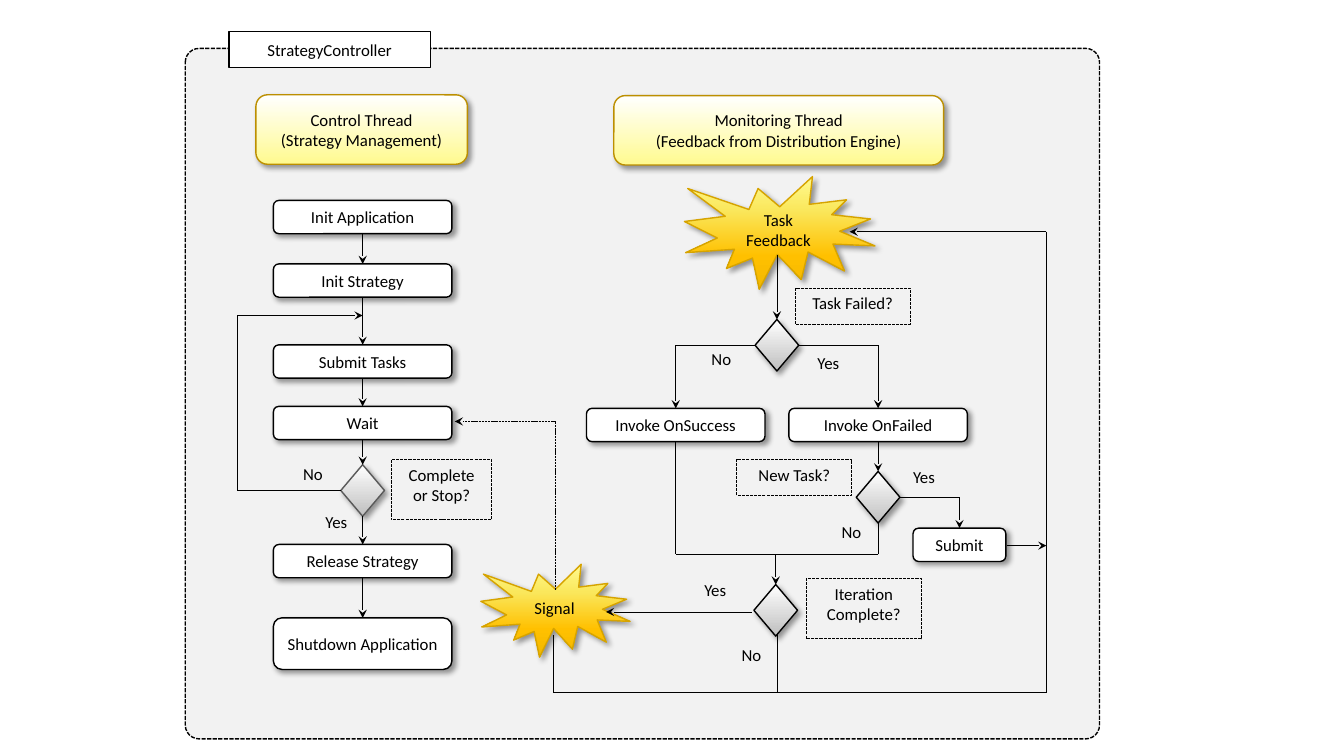
from itertools import pairwise

from lxml.etree import SubElement
from pptx import Presentation
from pptx.dml.color import RGBColor
from pptx.enum.dml import MSO_LINE
from pptx.enum.shapes import MSO_CONNECTOR, MSO_SHAPE
from pptx.enum.text import MSO_ANCHOR, PP_ALIGN
from pptx.oxml.ns import qn
from pptx.util import Cm, Pt

# Lengths in centimetres
CONTROL_X, SUCCESS_X, FAILED_X, SUBMIT_X = 9.14, 17.03, 22.13, 24.18
FEEDBACK_X, ITERATION_X, RETURN_X = 19.58, 19.55, 26.37
STEP_W, STEP_H = 4.5, 0.84
DIAMOND_W, DIAMOND_H = 1.1, 1.3
ANSWER_H = 0.91
MERGE_Y, RETURN_Y = 13.97, 17.45

TITLE = "StrategyController"
TITLE_BOX = (5.77, 0.79, 5.08, 0.91)
FRAME_BOX = (4.67, 1.22, 23.04, 17.4)

THREADS = [
    ("Control Thread\n(Strategy Management)", (6.45, 2.39, 5.33, 1.75)),
    ("Monitoring Thread\n(Feedback from Distribution Engine)", (15.47, 2.41, 8.31, 1.75)),
]
# text, centre x, top, width, height
CONTROL_STEPS = [
    ("Init Application", CONTROL_X, 5.05, STEP_W, STEP_H),
    ("Init Strategy", CONTROL_X, 6.65, STEP_W, STEP_H),
    ("Submit Tasks", CONTROL_X, 8.69, STEP_W, STEP_H),
    ("Wait", CONTROL_X, 10.24, STEP_W, STEP_H),
    ("Release Strategy", CONTROL_X, 13.72, STEP_W, STEP_H),
    ("Shutdown Application", CONTROL_X, 15.57, STEP_W, 1.3),
]
MONITORING_STEPS = [
    ("Invoke OnSuccess", SUCCESS_X, 10.29, STEP_W, STEP_H),
    ("Invoke OnFailed", FAILED_X, 10.29, STEP_W, STEP_H),
    ("Submit", SUBMIT_X, 13.31, 2.34, STEP_H),
]
EVENTS = [
    ("Task Feedback", (17.25, 4.45, 4.8, 2.84)),
    ("Signal", (12.12, 14.22, 3.76, 2.34)),
]
# centre x, centre y, outline, question, question box
DECISIONS = [
    (CONTROL_X, 12.36, "595959", "Complete or Stop?", (9.86, 11.58, 2.54, 1.52)),
    (FEEDBACK_X, 8.7, "000000", "Task Failed?", (20.04, 7.26, 2.9, 0.91)),
    (FAILED_X, 12.53, "000000", "New Task?", (18.57, 11.58, 2.9, 0.91)),
    (ITERATION_X, 15.38, "000000", "Iteration Complete?", (20.32, 14.58, 2.9, 1.52)),
]
ANSWERS = {
    "Yes": (1.27, [(7.95, 12.78), (20.35, 8.76), (17.5, 14.48), (22.76, 11.63)]),
    "No": (1.12, [(7.39, 11.56), (17.68, 8.66), (20.96, 13.03), (18.44, 16.13)]),
}
ARROWS = [
    [(CONTROL_X, 5.89), (CONTROL_X, 6.65)],
    [(CONTROL_X, 7.49), (CONTROL_X, 8.69)],
    [(CONTROL_X, 9.53), (CONTROL_X, 10.24)],
    [(CONTROL_X, 11.08), (CONTROL_X, 11.71)],
    [(CONTROL_X, 13.01), (CONTROL_X, 13.72)],
    [(CONTROL_X, 14.56), (CONTROL_X, 15.57)],
    [(8.59, 12.36), (5.99, 12.36), (5.99, 7.95), (CONTROL_X, 7.95)],
    [(FEEDBACK_X, 6.43), (FEEDBACK_X, 8.05)],
    [(19.03, 8.7), (SUCCESS_X, 8.7), (SUCCESS_X, 10.29)],
    [(20.13, 8.7), (FAILED_X, 8.7), (FAILED_X, 10.29)],
    [(FAILED_X, 11.13), (FAILED_X, 11.88)],
    [(22.68, 12.53), (SUBMIT_X, 12.53), (SUBMIT_X, 13.31)],
    [(25.37, 13.75), (RETURN_X, 13.75)],
    [(ITERATION_X, MERGE_Y), (ITERATION_X, 14.73)],
    [(18.95, 15.42), (15.27, 15.42)],
    [(13.94, 16), (13.94, RETURN_Y), (RETURN_X, RETURN_Y), (RETURN_X, 5.84), (21.41, 5.84)],
]
PLAIN_LINES = [
    [(SUCCESS_X, 11.13), (SUCCESS_X, MERGE_Y), (FAILED_X, MERGE_Y), (FAILED_X, 13.18)],
    [(FEEDBACK_X, 16), (FEEDBACK_X, RETURN_Y)],
]
DASHED_ARROWS = [[(14, 14.86), (14, 10.62), (11.46, 10.62)]]

YELLOW = [(0, "FFFFFF"), (100, "FFFA8F")]
GREY = [(0, "FFFFFF"), (100, "BFBFBF")]
GOLD = [(0, "FFFA8F"), (30, "FAE75C"), (70, "FFC000"), (100, "F2B800")]


def color(value):
    return RGBColor.from_string(value)


def set_line(line, value, width, dashed=False):
    line.color.rgb = color(value)
    line.width = Pt(width)
    if dashed:
        line.dash_style = MSO_LINE.SQUARE_DOT


def set_fill(fill, paint):
    """Paint with a hex string, a list of gradient stops, or None for no fill."""
    if paint is None:
        fill.background()
    elif isinstance(paint, str):
        fill.solid()
        fill.fore_color.rgb = color(paint)
    else:
        fill.gradient()
        fill.gradient_angle = 270
        stops = fill._fill._gradFill.find(qn("a:gsLst"))
        stops.clear()
        for percent, value in paint:
            stop = SubElement(stops, qn("a:gs"), pos=str(percent * 1000))
            SubElement(stop, qn("a:srgbClr"), val=value)


def add_shadow(shape):
    effects = shape._element.spPr.find(qn("a:effectLst"))
    shadow = SubElement(effects, qn("a:outerShdw"), blurRad=str(Pt(4)), dist=str(Pt(3)),
                        dir="2700000", algn="tl", rotWithShape="0")
    black = SubElement(shadow, qn("a:srgbClr"), val="000000")
    SubElement(black, qn("a:alpha"), val="40000")


def write(shape, text, align=PP_ALIGN.CENTER, anchor=MSO_ANCHOR.MIDDLE, wrap=True):
    frame = shape.text_frame
    frame.text = text
    frame.word_wrap = wrap
    frame.vertical_anchor = anchor
    for paragraph in frame.paragraphs:
        paragraph.alignment = align
        paragraph.font.size = Pt(12)
        paragraph.font.name = "Calibri"
        paragraph.font.color.rgb = color("000000")


def add_box(preset, box, paint, outline="000000", width=1, dashed=False, shadow=False):
    shape = slide.shapes.add_shape(preset, *map(Cm, box))
    shape.shadow.inherit = False
    set_fill(shape.fill, paint)
    set_line(shape.line, outline, width, dashed)
    if shadow:
        add_shadow(shape)
    return shape


def add_route(points, arrow=True, dashed=False):
    """Join the points with straight lines, the last one with an arrowhead."""
    for start, end in pairwise(points):
        segment = slide.shapes.add_connector(MSO_CONNECTOR.STRAIGHT, *map(Cm, start + end))
        set_line(segment.line, "000000", 0.5, dashed)
        SubElement(segment._element.spPr, qn("a:effectLst"))
    if arrow:
        SubElement(segment.line._get_or_add_ln(), qn("a:tailEnd"), type="stealth")


presentation = Presentation()
presentation.slide_width, presentation.slide_height = Cm(33.87), Cm(19.05)
slide = presentation.slides.add_slide(presentation.slide_layouts[5])

controller = add_box(MSO_SHAPE.ROUNDED_RECTANGLE, FRAME_BOX, "F2F2F2", dashed=True)
controller.adjustments[0] = 0.02

title = slide.shapes.title
title.left, title.top, title.width, title.height = map(Cm, TITLE_BOX)
set_fill(title.fill, "FFFFFF")
set_line(title.line, "000000", 1)
write(title, TITLE)
controller._element.addnext(title._element)  # the title sits in front of the frame

for text, box in THREADS:
    write(add_box(MSO_SHAPE.ROUNDED_RECTANGLE, box, YELLOW, "BC8F00", shadow=True), text)

for text, center, top, width, height in CONTROL_STEPS + MONITORING_STEPS:
    box = (center - width / 2, top, width, height)
    write(add_box(MSO_SHAPE.ROUNDED_RECTANGLE, box, "FFFFFF", shadow=True), text)

for text, box in EVENTS:
    write(add_box(MSO_SHAPE.EXPLOSION1, box, GOLD, "D6A300", shadow=True), text)

for x, y, outline, question, question_box in DECISIONS:
    box = (x - DIAMOND_W / 2, y - DIAMOND_H / 2, DIAMOND_W, DIAMOND_H)
    add_box(MSO_SHAPE.DIAMOND, box, GREY, outline, shadow=True)
    note = add_box(MSO_SHAPE.RECTANGLE, question_box, None, width=0.75, dashed=True)
    write(note, question, anchor=MSO_ANCHOR.TOP)

for answer, (width, corners) in ANSWERS.items():
    for left, top in corners:
        label = slide.shapes.add_textbox(Cm(left), Cm(top), Cm(width), Cm(ANSWER_H))
        write(label, answer, PP_ALIGN.LEFT, MSO_ANCHOR.TOP, wrap=False)

for points in ARROWS:
    add_route(points)
for points in PLAIN_LINES:
    add_route(points, arrow=False)
for points in DASHED_ARROWS:
    add_route(points, dashed=True)

presentation.save("out.pptx")
